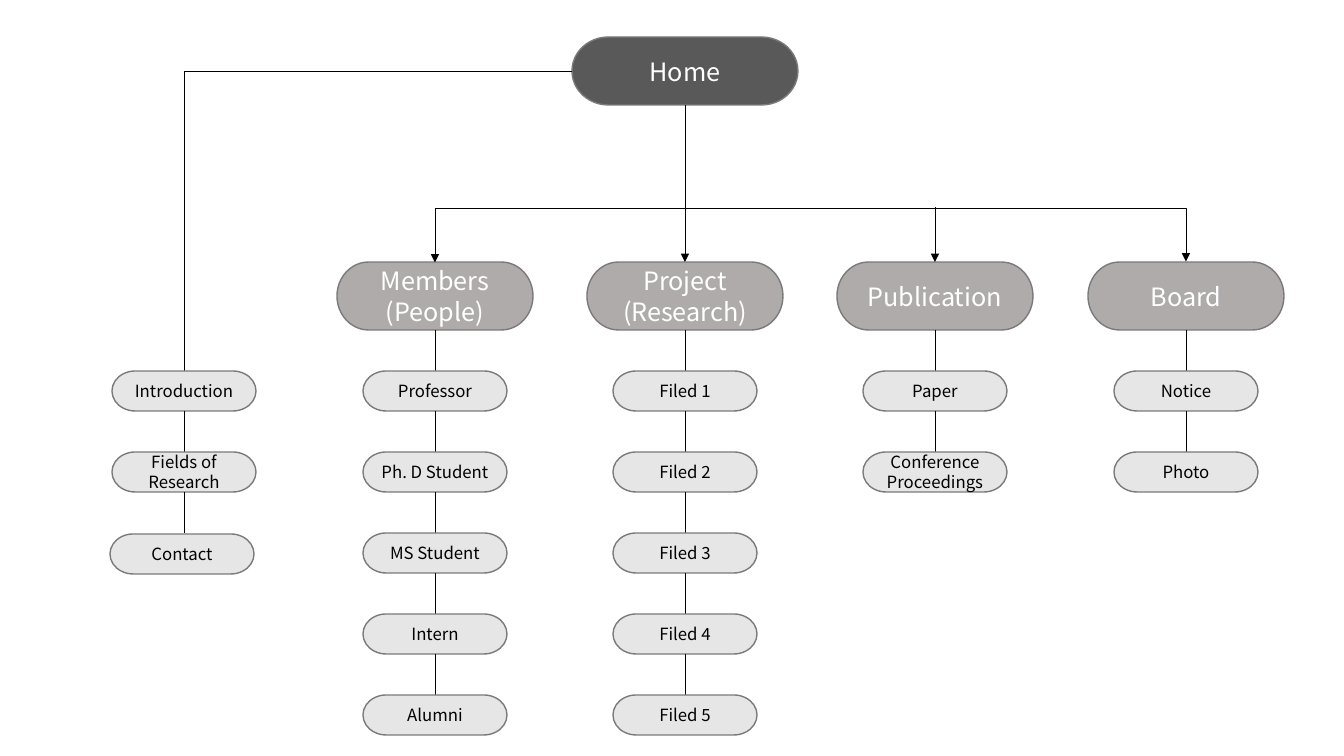
import pptx
import pptx.util
import pptx.dml.color
import pptx.enum.shapes
import pptx.enum.text
import pptx.oxml
import pptx.oxml.ns

EMU_PER_PX = 914400 / 100.8
FONT = "Noto Sans CJK KR"
SHAPES = pptx.enum.shapes.MSO_SHAPE
CONNECTORS = pptx.enum.shapes.MSO_CONNECTOR

# Node styles: width, height, fill, text colour, text size
HOME = (226, 68, "595959", "FFFFFF", 18)
SECTION = (196, 68, "AFABAB", "FFFFFF", 18)
PAGE = (144, 40, "E7E6E6", "000000", 12)

HOME_CENTER, HOME_TOP = 685, 37
SECTION_TOP, BRANCH_Y = 262, 207
PAGE_TOP, PAGE_PITCH = 371, 81
SECTION_PITCH = 250.33

SECTIONS = [
    ("Members\n(People)", ["Professor", "Ph. D Student", "MS Student", "Intern", "Alumni"]),
    ("Project\n(Research)", [f"Filed {number}" for number in range(1, 6)]),
    ("Publication", ["Paper", "Conference Proceedings"]),
    ("Board", ["Notice", "Photo"]),
]


def px(length):
    return pptx.util.Emu(round(length * EMU_PER_PX))


def color(hex_string):
    return pptx.dml.color.RGBColor.from_string(hex_string)


def add_node(slide, label, center, top, style):
    width, height, fill, text_color, size = style
    node = slide.shapes.add_shape(SHAPES.FLOWCHART_TERMINATOR, px(center - width / 2),
                                  px(top), px(width), px(height))
    node.shadow.inherit = False
    node.fill.solid()
    node.fill.fore_color.rgb = color(fill)
    node.line.color.rgb = color("7A7A7A")
    node.line.width = pptx.util.Pt(1)
    frame = node.text_frame
    frame.word_wrap = True
    frame.vertical_anchor = pptx.enum.text.MSO_ANCHOR.MIDDLE
    paragraph = frame.paragraphs[0]
    paragraph.alignment = pptx.enum.text.PP_ALIGN.CENTER
    for index, line in enumerate(label.split("\n")):
        if index:
            paragraph.add_line_break()
        run = paragraph.add_run()
        run.text = line
        run.font.name = FONT
        run.font.size = pptx.util.Pt(size)
        run.font.color.rgb = color(text_color)
        # The East Asian face matches the Latin one
        east_asian = pptx.oxml.parse_xml(
            f'<a:ea {pptx.oxml.ns.nsdecls("a")} typeface="{FONT}"/>')
        run.font._element.append(east_asian)


def add_link(slide, start, end, kind=CONNECTORS.STRAIGHT, arrows=()):
    link = slide.shapes.add_connector(kind, *map(px, start + end))
    link.line.color.rgb = color("000000")
    link.line.width = pptx.util.Pt(0.5)
    outline = link.line._get_or_add_ln()
    for arrow in arrows:
        outline.append(pptx.oxml.parse_xml(
            f'<a:{arrow} {pptx.oxml.ns.nsdecls("a")} type="triangle"/>'))
    properties = link._element.spPr
    properties.append(pptx.oxml.parse_xml(f'<a:effectLst {pptx.oxml.ns.nsdecls("a")}/>'))
    return properties


def add_pages(slide, labels, center, top, shift=(0, 0)):
    """Stack pages down a column; shift moves the last one off the grid."""
    for index, label in enumerate(labels):
        page_top = top + index * PAGE_PITCH
        if index:
            add_link(slide, (center, page_top - PAGE_PITCH + PAGE[1]), (center, page_top))
        dx, dy = shift if index == len(labels) - 1 else (0, 0)
        add_node(slide, label, center + dx, page_top + dy, PAGE)


def add_section(slide, title, labels, center, top):
    add_node(slide, title, center, top, SECTION)
    add_link(slide, (center, top + SECTION[1]), (center, PAGE_TOP))
    add_pages(slide, labels, center, PAGE_TOP)


def add_branch(slide, centers, top, bottom):
    """Bracket over the outer sections, with arrows down to the inner ones."""
    add_link(slide, (HOME_CENTER, HOME_TOP + HOME[1]), (HOME_CENTER, top))
    middle = (centers[0] + centers[-1]) / 2
    half_span = (centers[-1] - centers[0]) / 2
    # One pixel wide before its quarter turn, so the bend is set in whole widths
    bracket = add_link(slide, (middle + 0.5, bottom + half_span),
                       (middle - 0.5, bottom - half_span),
                       CONNECTORS.ELBOW, ("headEnd", "tailEnd"))
    bracket.find(pptx.oxml.ns.qn("a:xfrm")).set("rot", "5400000")
    bends = bracket.find(pptx.oxml.ns.qn("a:prstGeom")).get_or_add_avLst()
    bends.append(pptx.oxml.parse_xml(
        f'<a:gd {pptx.oxml.ns.nsdecls("a")} name="adj1" fmla="val {(bottom - top) * 100000}"/>'))
    for center in centers[1:-1]:
        add_link(slide, (center, top), (center, bottom), arrows=("tailEnd",))


def add_introduction(slide, center, top):
    corner = add_link(slide, (HOME_CENTER - HOME[0] / 2, HOME_TOP + HOME[1] / 2),
                      (center, top), CONNECTORS.ELBOW)
    corner.find(pptx.oxml.ns.qn("a:prstGeom")).set("prst", "bentConnector2")
    add_pages(slide, ["Introduction", "Fields of\nResearch", "Contact"], center, top, (-2, 1))


presentation = pptx.Presentation()
presentation.slide_width = px(1344)
presentation.slide_height = px(756)
slide = presentation.slides.add_slide(presentation.slide_layouts[6])

# Home and its branches
add_node(slide, "Home", HOME_CENTER, HOME_TOP, HOME)
centers = [round(HOME_CENTER + (index - 1) * SECTION_PITCH) for index in range(len(SECTIONS))]
for center, (title, labels) in zip(centers, SECTIONS):
    add_section(slide, title, labels, center, SECTION_TOP)
add_branch(slide, centers, BRANCH_Y, SECTION_TOP)

# Introduction column
add_introduction(slide, 184, PAGE_TOP)

presentation.save("out.pptx")
